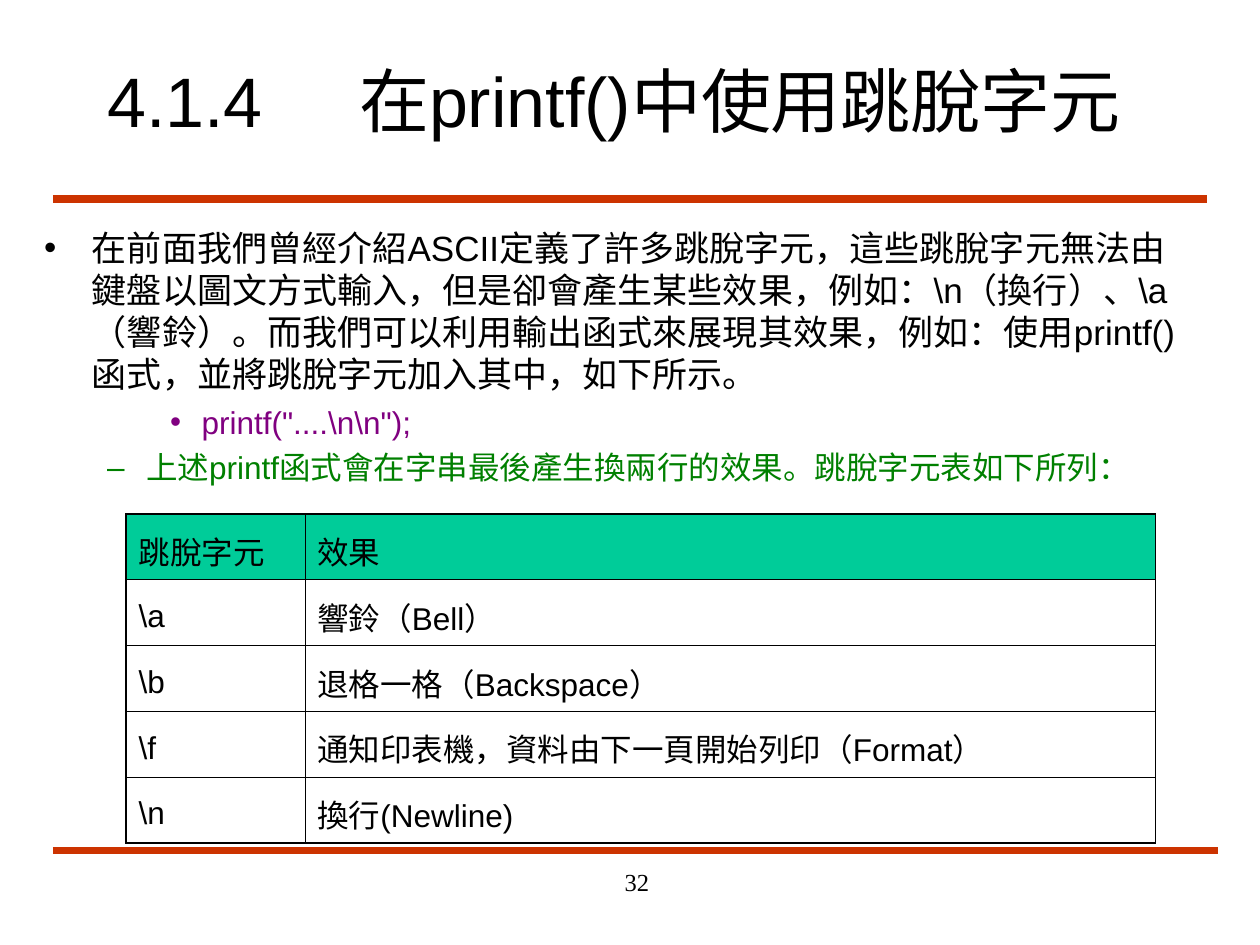
from lxml import etree
from pptx import Presentation
from pptx import util as u
from pptx.dml.color import RGBColor
from pptx.enum import shapes, text
from pptx.oxml.ns import qn

COLORS = {
    "rule": "CC3300",
    "text": "000000",
    "code": "800080",
    "note": "008000",
    "header": "00CC99",
}

TITLE = "4.1.4\t在printf()中使用跳脫字元"

# text, level, left margin, hanging indent, bullet, size, colour, space before
BODY = [
    ("在前面我們曾經介紹ASCII定義了許多跳脫字元，這些跳脫字元無法由鍵盤以圖文方式輸入，"
     "但是卻會產生某些效果，例如：\\n（換行）、\\a（響鈴）。而我們可以利用輸出函式來展現其效果，"
     "例如：使用printf()函式，並將跳脫字元加入其中，如下所示。",
     0, 0.38, 0.38, "•", 20, "text", 0),
    ('printf("....\\n\\n");', 2, 1.25, 0.25, "•", 18, "code", 4.5),
    ("上述printf函式會在字串最後產生換兩行的效果。跳脫字元表如下所列：",
     1, 0.81, 0.31, "–", 18, "note", 4.5),
]

ROWS = [
    ("跳脫字元", "效果"),
    ("\\a", "響鈴（Bell）"),
    ("\\b", "退格一格（Backspace）"),
    ("\\f", "通知印表機，資料由下一頁開始列印（Format）"),
    ("\\n", "換行(Newline)"),
]
COL_WIDTHS = (1.42, 6.75)
ROW_HEIGHT = 0.46
OUTER, INNER = 1.08, 0.45


def rgb(name):
    return RGBColor.from_string(COLORS[name])


def style(p, size, color="text", font="Arial"):
    for r in p.runs:
        r.font.size = u.Pt(size)
        r.font.name = font
        r.font.color.rgb = rgb(color)


def place(sp, left, top, width, height):
    sp.left, sp.top = u.Inches(left), u.Inches(top)
    sp.width, sp.height = u.Inches(width), u.Inches(height)


def add_rule(s, left, right, y):
    line = s.shapes.add_connector(
        shapes.MSO_CONNECTOR.STRAIGHT,
        u.Inches(left), u.Inches(y), u.Inches(right), u.Inches(y))
    line.line.color.rgb = rgb("rule")
    line.line.width = u.Pt(4.5)
    etree.SubElement(line._element.spPr, qn("a:effectLst"))


def fill_title(sp):
    place(sp, 0.75, 0.33, 8.5, 0.92)
    tf = sp.text_frame
    tf.text = TITLE
    tf.auto_size = text.MSO_AUTO_SIZE.NONE
    tf.vertical_anchor = text.MSO_ANCHOR.MIDDLE
    p = tf.paragraphs[0]
    p.alignment = text.PP_ALIGN.LEFT
    tabs = etree.SubElement(p._p.get_or_add_pPr(), qn("a:tabLst"))
    for inch in (1, 2):
        etree.SubElement(tabs, qn("a:tab"), pos=str(u.Inches(inch)), algn="l")
    style(p, 40)


def set_bullet(p, char, color, left, hanging):
    pPr = p._p.get_or_add_pPr()
    pPr.set("marL", str(u.Inches(left)))
    pPr.set("indent", str(-u.Inches(hanging)))
    clr = etree.SubElement(pPr, qn("a:buClr"))
    etree.SubElement(clr, qn("a:srgbClr"), val=COLORS[color])
    etree.SubElement(pPr, qn("a:buChar"), char=char)


def fill_body(sp):
    place(sp, 0.25, 1.75, 9.25, 2.83)
    tf = sp.text_frame
    tf.auto_size = text.MSO_AUTO_SIZE.NONE
    for i, (words, level, left, hanging, char, size, color, before) in enumerate(BODY):
        p = tf.paragraphs[0] if i == 0 else tf.add_paragraph()
        p.text = words
        p.level = level
        set_bullet(p, char, color, left, hanging)
        p.space_before = u.Pt(before)
        style(p, size, color)


def set_border(cell, side, width):
    ln = etree.SubElement(cell._tc.get_or_add_tcPr(), qn("a:ln" + side),
                          w=str(u.Pt(width)))
    solid = etree.SubElement(ln, qn("a:solidFill"))
    etree.SubElement(solid, qn("a:srgbClr"), val=COLORS["text"])


def add_escape_table(s):
    last_row, last_col = len(ROWS) - 1, len(COL_WIDTHS) - 1
    frame = s.shapes.add_table(
        len(ROWS), len(COL_WIDTHS), u.Inches(1), u.Inches(4.08),
        u.Inches(sum(COL_WIDTHS)), u.Inches(ROW_HEIGHT * len(ROWS)))
    table = frame.table
    table.first_row = table.horz_banding = False
    for col, width in zip(table.columns, COL_WIDTHS):
        col.width = u.Inches(width)
    for i, row in enumerate(ROWS):
        table.rows[i].height = u.Inches(ROW_HEIGHT)
        for j, words in enumerate(row):
            cell = table.cell(i, j)
            cell.text = words
            cell.vertical_anchor = text.MSO_ANCHOR.MIDDLE
            cell.margin_top = u.Inches(0.11)
            style(cell.text_frame.paragraphs[0], 18)
            # Heavier lines on the outer edges only
            edges = {"L": j == 0, "R": j == last_col,
                     "T": i == 0, "B": i == last_row}
            for side, is_outer in edges.items():
                set_border(cell, side, OUTER if is_outer else INNER)
            if i == 0:
                cell.fill.solid()
                cell.fill.fore_color.rgb = rgb("header")
            else:
                cell.fill.background()


def add_page_number(s, number):
    sp = s.shapes.add_textbox(u.Inches(3.17), u.Inches(6.83),
                              u.Inches(2.08), u.Inches(0.5))
    tf = sp.text_frame
    tf.word_wrap = True
    tf.text = number
    p = tf.paragraphs[0]
    p.alignment = text.PP_ALIGN.RIGHT
    style(p, 14, font="Times New Roman")


def main():
    prs = Presentation()
    prs.slide_width, prs.slide_height = u.Inches(10), u.Inches(7.5)
    s = prs.slides.add_slide(prs.slide_layouts[1])

    # Rules above and below the content
    add_rule(s, 0.42, 9.58, 1.58)
    add_rule(s, 0.42, 9.67, 6.75)

    # Title and explanation
    fill_title(s.shapes.title)
    fill_body(s.placeholders[1])

    # Escape characters and page number
    add_escape_table(s)
    add_page_number(s, "32")

    prs.save("out.pptx")


if __name__ == "__main__":
    main()
